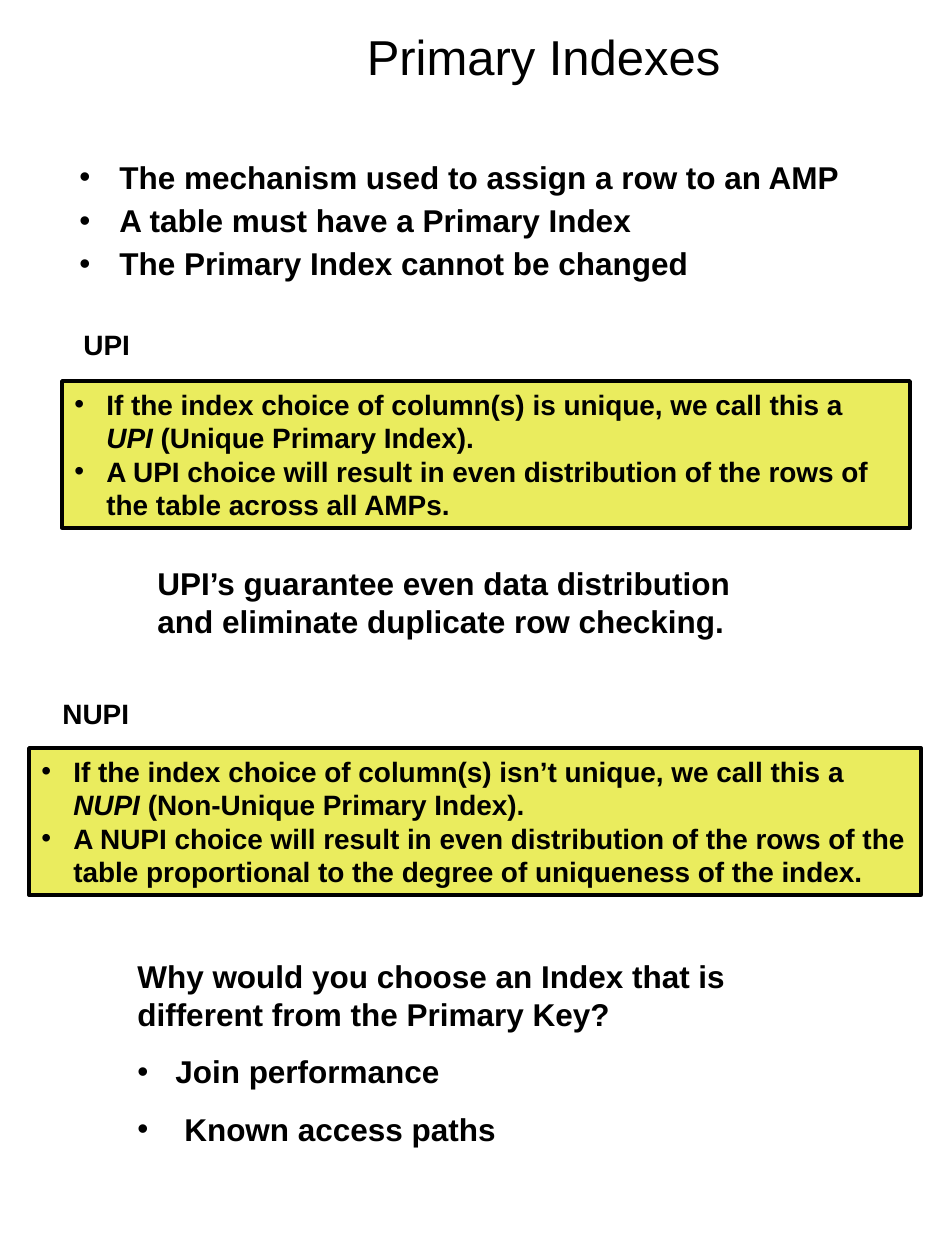
from dataclasses import dataclass

from lxml import etree
from pptx import Presentation
from pptx.dml.color import RGBColor
from pptx.enum.shapes import MSO_SHAPE as SHAPE
from pptx.enum.text import MSO_ANCHOR as ANCHOR, MSO_AUTO_SIZE as FIT, PP_ALIGN as ALIGN
from pptx.oxml.ns import qn
from pptx.util import Emu, Pt

EMU_PER_PX = 914400 / 126


def px(n):
    return Emu(round(n * EMU_PER_PX))


@dataclass(frozen=True)
class Theme:
    font: str = "Arial"
    ink: RGBColor = RGBColor(0, 0, 0)
    panel: RGBColor = RGBColor.from_string("EAEC5E")
    title: int = 28
    body: int = 18
    detail: int = 16
    leading: float = 1.2
    border: int = 2


class Page:
    def __init__(self, slide, theme):
        self.slide, self.theme = slide, theme

    def set_text(self, p, text, size, bold=True):
        """Fill a paragraph; parts between asterisks become italic."""
        first, *rest = text.split("*")
        p.text = first
        for part in rest:
            p.add_run().text = part
        p.line_spacing = Pt(size * self.theme.leading)
        for i, r in enumerate(p.runs):
            r.font.name = self.theme.font
            r.font.size = Pt(size)
            r.font.bold = bold
            r.font.italic = bool(rest) and i % 2 == 1
            r.font.color.rgb = self.theme.ink

    def bullet(self, p, indent):
        pPr = p._p.get_or_add_pPr()
        pPr.set("marL", str(px(indent)))
        pPr.set("indent", str(-px(indent)))
        etree.SubElement(pPr, qn("a:buFont")).set("typeface", self.theme.font)
        etree.SubElement(pPr, qn("a:buChar")).set("char", "•")

    def text_box(self, box, wrap=True):
        tf = self.slide.shapes.add_textbox(*map(px, box)).text_frame
        tf.word_wrap = wrap
        tf.auto_size = FIT.SHAPE_TO_FIT_TEXT
        return tf

    def title(self, text, box):
        tf = self.text_box(box)
        tf.auto_size = FIT.NONE
        tf.vertical_anchor = ANCHOR.MIDDLE
        p = tf.paragraphs[0]
        self.set_text(p, text, self.theme.title, bold=False)
        p.alignment = ALIGN.CENTER

    def label(self, text, box):
        tf = self.text_box(box, wrap=False)
        self.set_text(tf.paragraphs[0], text, self.theme.detail)

    def statement(self, text, box):
        tf = self.text_box(box)
        self.set_text(tf.paragraphs[0], text, self.theme.body)
        return tf

    def bullets(self, tf, items, size, indent, after=0):
        for i, text in enumerate(items):
            p = tf.add_paragraph() if i else tf.paragraphs[0]
            self.bullet(p, indent)
            self.set_text(p, text, size)
            p.alignment = ALIGN.LEFT
            p.space_after = Pt(after)

    def bullet_list(self, items, box):
        self.bullets(self.text_box(box), items, self.theme.body, indent=40, after=3)

    def panel(self, items, box):
        sp = self.slide.shapes.add_shape(SHAPE.RECTANGLE, *map(px, box))
        sp.shadow.inherit = False
        sp.fill.solid()
        sp.fill.fore_color.rgb = self.theme.panel
        sp.line.color.rgb = self.theme.ink
        sp.line.width = Pt(self.theme.border)
        tf = sp.text_frame
        tf.word_wrap = True
        tf.auto_size = FIT.SHAPE_TO_FIT_TEXT
        tf.vertical_anchor = ANCHOR.TOP
        self.bullets(tf, items, self.theme.detail, indent=32)

    def question(self, text, answers, box):
        """Place a question, then answers given as (text, indent) pairs."""
        tf = self.statement(text, box)
        for answer, indent in answers:
            p = tf.add_paragraph()
            self.bullet(p, indent)
            self.set_text(p, answer, self.theme.body)
            p.space_before = Pt(11.2)


def main():
    prs = Presentation()
    prs.slide_width, prs.slide_height = px(945), px(1260)
    page = Page(prs.slides.add_slide(prs.slide_layouts[6]), Theme())

    page.title("Primary Indexes", (205, 0, 677, 112))
    page.bullet_list([
        "The mechanism used to assign a row to an AMP",
        "A table must have a Primary Index",
        "The Primary Index cannot be changed",
    ], (67, 152, 837, 136))

    page.label("UPI", (71, 321, 72, 47))
    page.panel([
        "If the index choice of column(s) is unique, we call this a *UPI *(Unique Primary Index).",
        "A UPI choice will result in even distribution of the rows of the table across all AMPs.",
    ], (62, 381, 848, 147))
    page.statement("UPI’s guarantee even data distribution \vand eliminate duplicate row checking.",
                   (145, 558, 743, 88))

    page.label("NUPI", (50, 690, 92, 47))
    page.panel([
        "If the index choice of column(s) isn’t unique, we call this a *NUPI* (Non-Unique Primary Index).",
        "A NUPI choice will result in even distribution of the rows of the table proportional "
        "to the degree of uniqueness of the index.",
    ], (29, 748, 892, 147))
    page.question("Why would you choose an Index that is different from the Primary Key?",
                  [("Join performance", 38), ("Known access paths", 47)],
                  (125, 951, 743, 204))

    prs.save("out.pptx")


if __name__ == "__main__":
    main()
